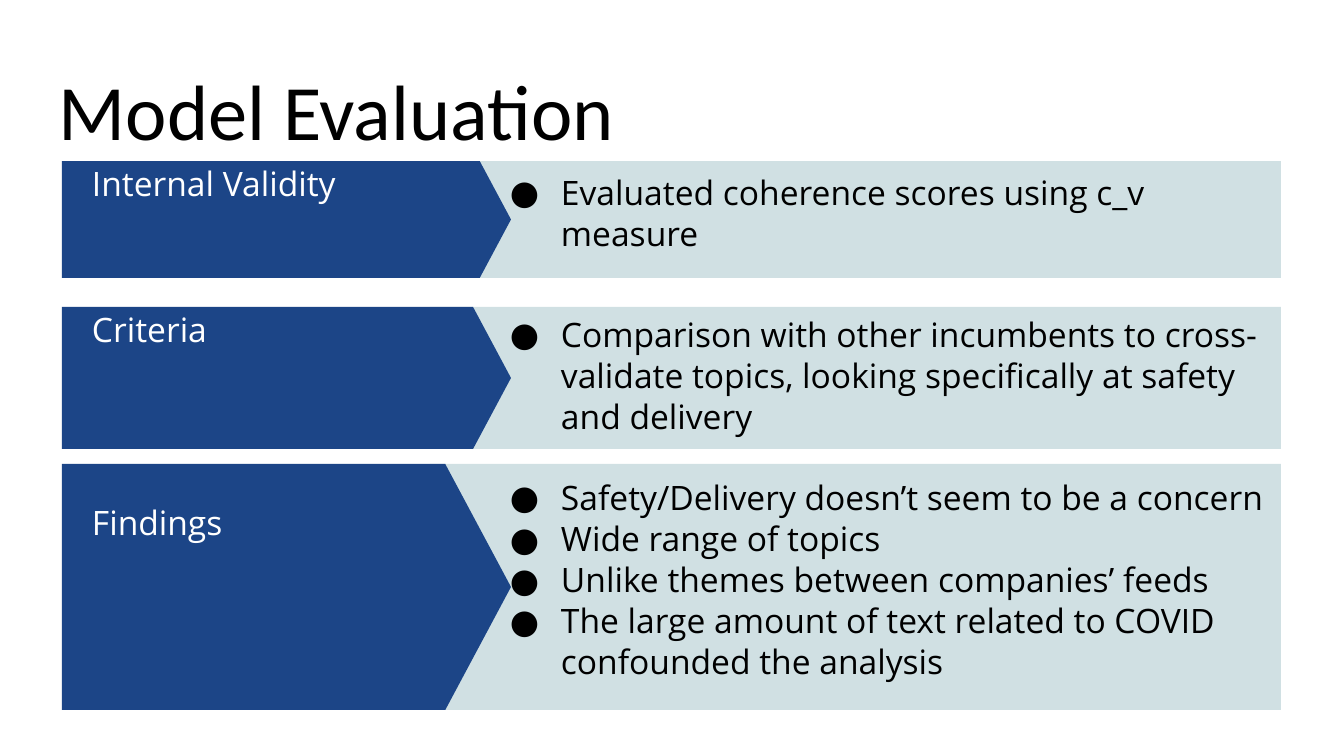
import pptx
import pptx.dml.color
import pptx.enum.shapes
import pptx.enum.text
import pptx.oxml
import pptx.oxml.ns
import pptx.util

EMU_PER_PIXEL = 914400 / 134.4
NAVY, PALE, BLACK, WHITE = "1C4587", "D0E0E3", "000000", "FFFFFF"
BODY_FONT = "Open Sans"
INSET = 13
ANCHOR = pptx.enum.text.MSO_ANCHOR
SHAPE = pptx.enum.shapes.MSO_SHAPE

# (label, row top, row height, label top, bullets top, bullets)
ROWS = [
    ("Internal Validity", 161, 117, 125, 158,
     ["Evaluated coherence scores using c_v measure"]),
    ("Criteria", 307, 142, 271, 300,
     ["Comparison with other incumbents to cross-validate topics, "
      "looking specifically at safety and delivery"]),
    ("Findings", 464, 246, 464, 463,
     ["Safety/Delivery doesn’t seem to be a concern",
      "Wide range of topics",
      "Unlike themes between companies’ feeds",
      "The large amount of text related to COVID confounded the analysis"]),
]


def px(length):
    return pptx.util.Emu(round(length * EMU_PER_PIXEL))


def color(value):
    return pptx.dml.color.RGBColor.from_string(value)


def add_span(para, text, font, size, fill):
    span = para.add_run()
    span.text = text
    span.font.name = font
    span.font.size = pptx.util.Pt(size)
    span.font.color.rgb = color(fill)


def set_frame(frame, anchor):
    frame.word_wrap = True
    frame.auto_size = pptx.enum.text.MSO_AUTO_SIZE.NONE
    frame.vertical_anchor = anchor
    frame.margin_left = frame.margin_right = px(INSET)
    frame.margin_top = frame.margin_bottom = px(INSET)


def add_title(page, text):
    title = page.shapes.title
    title.left, title.top, title.width, title.height = map(px, (46, 47, 1253, 122))
    set_frame(title.text_frame, ANCHOR.BOTTOM)
    para = title.text_frame.paragraphs[0]
    para.alignment = pptx.enum.text.PP_ALIGN.LEFT
    add_span(para, text, "Calibri", 42, BLACK)


def add_block(group, kind, left, top, width, height, fill):
    block = group.shapes.add_shape(kind, *map(px, (left, top, width, height)))
    block.shadow.inherit = False
    block.fill.solid()
    block.fill.fore_color.rgb = color(fill)
    block.line.fill.background()
    return block


def add_banner(page, top, height):
    group = page.shapes.add_group_shape()
    add_block(group, SHAPE.RECTANGLE, 430, top, 851, height, PALE)
    arrow = add_block(group, SHAPE.PENTAGON, 62, top, 449, height, NAVY)
    arrow.adjustments[0] = 0.267


def add_box(page, left, top, width, height, anchor):
    box = page.shapes.add_textbox(*map(px, (left, top, width, height)))
    set_frame(box.text_frame, anchor)
    return box.text_frame


def add_label(page, top, text):
    frame = add_box(page, 79, top, 356, 117, ANCHOR.MIDDLE)
    add_span(frame.paragraphs[0], text, BODY_FONT, 18, WHITE)


def set_bullet(para):
    properties = para._p.get_or_add_pPr()
    properties.set("marL", str(px(67)))
    properties.set("indent", str(px(-51)))
    namespace = pptx.oxml.ns.nsdecls("a")
    for xml in (
        f'<a:buClr {namespace}><a:srgbClr val="{BLACK}"/></a:buClr>',
        f'<a:buFont {namespace} typeface="{BODY_FONT}"/>',
        f'<a:buChar {namespace} char="●"/>',
    ):
        properties.append(pptx.oxml.parse_xml(xml))


def add_bullets(page, top, height, items):
    frame = add_box(page, 481, top, 800, height, ANCHOR.TOP)
    for index, item in enumerate(items):
        para = frame.add_paragraph() if index else frame.paragraphs[0]
        para.line_spacing = 1.02
        set_bullet(para)
        add_span(para, item, BODY_FONT, 18, BLACK)


def main():
    deck = pptx.Presentation()
    deck.slide_width, deck.slide_height = px(1344), px(756)
    page = deck.slides.add_slide(deck.slide_layouts[5])
    add_title(page, "Model Evaluation")
    for label, top, height, label_top, bullets_top, items in ROWS:
        add_banner(page, top, height)
        add_label(page, label_top, label)
        add_bullets(page, bullets_top, height, items)
    deck.save("out.pptx")


if __name__ == "__main__":
    main()
